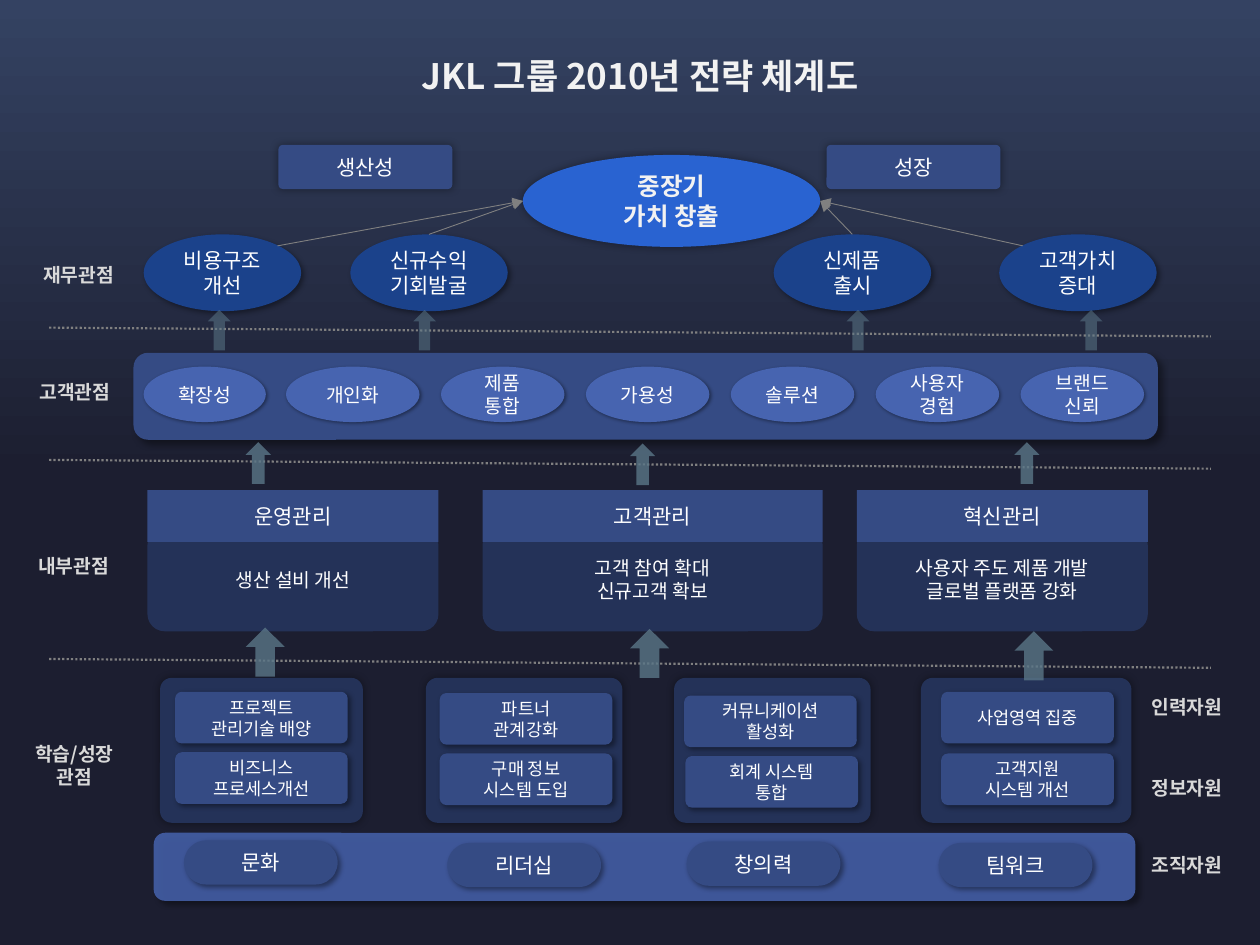
import lxml.etree
import pptx
import pptx.util
import pptx.dml.color
import pptx.enum.dml
import pptx.enum.shapes
import pptx.enum.text
import pptx.oxml.ns

THEME = dict(
    font="Noto Sans CJK KR", goal_font="Arial",
    sky="344262", night="1C1E30", goal="2963D1", finance="1B428B",
    panel="243258", box="354B84", pill="4764B0", arrow="5A7687",
    rule="808080", white="FFFFFF", bright="F2F2F2", label="D9D9D9", shadow="000000",
    title_size=20, goal_size=14, head_size=12, body_size=11, small_size=10,
)
# Shadows: blur, distance (points), angle (degrees)
GLOW, DROP, SMALL_DROP = (5, 0, 0), (3, 2, 45), (2, 1, 45)
PANEL_DROP, BASE_DROP = (4, 3, 45), (3, 3, 45)
SHAPE = pptx.enum.shapes.MSO_SHAPE

# Content; positions count cells of a grid of 100 columns by 75 rows
TITLE = "JKL 그룹 2010년 전략 체계도"
GOAL = ("중장기\n가치 창출", 41.5, 12.3, 23.6, 7.3)
THEMES = [("생산성", 22.1), ("성장", 65.6)]
FINANCE = [("비용구조개선", 11.4), ("신규수익기회발굴", 27.8),
           ("신제품\n출시", 61.4), ("고객가치\n증대", 79.3)]
CUSTOMER = [("확장성", 11.4, 9.7), ("개인화", 22.7, 10.6), ("제품\n통합", 35, 9.8),
            ("가용성", 46.5, 9.8), ("솔루션", 58, 9.8), ("사용자\n경험", 69.5, 9.8),
            ("브랜드신뢰", 81, 9.8)]
INTERNAL = [("운영관리", "생산 설비 개선", 11.7, 23.1),
            ("고객관리", "고객 참여 확대\n신규고객 확보", 38.3, 27),
            ("혁신관리", "사용자 주도 제품 개발\n글로벌 플랫폼 강화", 68, 23.1)]
# Panel left and width, then each box with its left and top
LEARNING = [
    (12.7, 16.1, [("프로젝트\n관리기술 배양", 13.9, 54.9), ("비즈니스\n프로세스개선", 13.9, 59.7)]),
    (33.8, 15.6, [("파트너\n관계강화", 34.9, 55), ("구매 정보\n시스템 도입", 34.9, 59.8)]),
    (53.5, 15.6, [("커뮤니케이션\n활성화", 54.3, 55.2), ("회계 시스템\n통합", 54.4, 60)]),
    (73.1, 16.7, [("사업영역 집중", 74.7, 54.9), ("고객지원\n시스템 개선", 74.7, 59.8)]),
]
CULTURE = [("문화", 14.6, 66.7), ("리더십", 35.5, 66.9),
           ("창의력", 54.5, 66.8), ("팀워크", 74.5, 66.9)]
LABELS = [("재무관점", 1.9, 20.4, 8.7, 2.9), ("고객관점", 1.6, 29.7, 8.7, 2.9),
          ("내부관점", 1.5, 43.5, 8.7, 2.9), ("학습/성장\n관점", 0.8, 58.4, 10.2, 4.7),
          ("인력자원", 89.5, 54.7, 9.4, 2.9), ("정보자원", 89.5, 61.1, 9.4, 2.9),
          ("조직자원", 89.5, 67.2, 9.4, 2.9)]
DIVIDERS = [26, 36.5, 52.3]
# Up arrows by row: width, height, opacity, (left, top) of each
ARROWS = [
    (1.8, 3.2, 55, [(16.5, 24.6), (32.8, 24.6), (67.2, 24.6), (85.7, 24.6)]),
    (2, 3.3, 80, [(19.5, 35.1), (50, 35.2), (80.5, 35.1)]),
    (3.1, 3.9, 80, [(19.5, 49.8), (50, 49.9), (80.5, 50.1)]),
]

deck = pptx.Presentation()
deck.slide_width, deck.slide_height = pptx.util.Inches(10), pptx.util.Inches(7.5)
slide = deck.slides.add_slide(deck.slide_layouts[6])
CELL = deck.slide_width / 100


def cells(*counts):
    return [round(count * CELL) for count in counts]


def color(name):
    return pptx.dml.color.RGBColor.from_string(THEME[name])


def add_xml(parent, tag, **attributes):
    return lxml.etree.SubElement(parent, pptx.oxml.ns.qn(tag), attributes)


def write(holder, text, size, ink="white", bold=False, font="font", middle=True):
    frame = holder.text_frame
    frame.word_wrap = True
    anchors = pptx.enum.text.MSO_ANCHOR
    frame.vertical_anchor = anchors.MIDDLE if middle else anchors.TOP
    frame.text = text
    for paragraph in frame.paragraphs:
        paragraph.alignment = pptx.enum.text.PP_ALIGN.CENTER
        for run in paragraph.runs:
            run.font.size = pptx.util.Pt(THEME[size])
            run.font.bold = bold
            run.font.color.rgb = color(ink)
            run.font.name = THEME[font]
            add_xml(run.font._element, "a:ea", typeface=THEME["font"])


def block(kind, place, fill, shadow=None, opacity=None, corner=None, home=slide):
    shape = home.shapes.add_shape(kind, *cells(*place))
    shape.fill.solid()
    shape.fill.fore_color.rgb = color(fill)
    shape.line.fill.background()
    shape.shadow.inherit = False
    properties = shape.element.spPr
    if opacity:
        tint = properties.find(".//" + pptx.oxml.ns.qn("a:srgbClr"))
        add_xml(tint, "a:alpha", val=str(opacity * 1000))
    if shadow:
        blur, distance, angle = shadow
        effects = properties.find(pptx.oxml.ns.qn("a:effectLst"))
        outer = add_xml(effects, "a:outerShdw", blurRad=str(blur * 12700),
                        dist=str(distance * 12700), dir=str(angle * 60000),
                        algn="ctr", rotWithShape="0")
        shade = add_xml(outer, "a:srgbClr", val=THEME["shadow"])
        add_xml(shade, "a:alpha", val="40000")
    if corner is not None:
        shape.adjustments[0] = corner
    return shape


def rule(start, end, width):
    line = slide.shapes.add_connector(pptx.enum.shapes.MSO_CONNECTOR.STRAIGHT,
                                      *cells(*start, *end))
    line.line.color.rgb = color("rule")
    line.line.width = pptx.util.Pt(width)
    add_xml(line.element.spPr, "a:effectLst")
    return line


def label(text, place, size, ink):
    write(slide.shapes.add_textbox(*cells(*place)), text, size, ink, bold=True, middle=False)


# Background
sky = slide.background.fill
sky.gradient()
sky.gradient_angle = 270
for stop, name, position in zip(sky.gradient_stops, ("sky", "night"), (0, 0.5)):
    stop.color.rgb = color(name)
    stop.position = position

# Title, perspective labels and resource labels
label(TITLE, (25.8, 3.8, 50, 4.4), "title_size", "bright")
for text, *place in LABELS:
    label(text, place, "body_size", "label")

# Goal, its two themes and the financial perspective
goal_text, *goal_place = GOAL
write(block(SHAPE.OVAL, goal_place, "goal", GLOW), goal_text, "goal_size",
      "bright", bold=True, font="goal_font")
for text, left in THEMES:
    theme_box = block(SHAPE.ROUNDED_RECTANGLE, (left, 11.5, 13.8, 3.5), "box", GLOW, corner=0.1)
    write(theme_box, text, "head_size")

FINANCE_TOP, FINANCE_W, FINANCE_H = 18.6, 12.5, 6.1
goal_left, goal_top, goal_w, goal_h = goal_place
# Share of the ellipse's width and height where each arrow leaves it
exits = [(0.85, 0.15), (0.5, 0), (0.5, 0), (0.15, 0.15)]
for (text, left), (share_x, share_y) in zip(FINANCE, exits):
    write(block(SHAPE.OVAL, (left, FINANCE_TOP, FINANCE_W, FINANCE_H), "finance", DROP),
          text, "head_size")
    goal_side = goal_left if left < goal_left else goal_left + goal_w
    pointer = rule((left + share_x * FINANCE_W, FINANCE_TOP + share_y * FINANCE_H),
                   (goal_side, goal_top + goal_h / 2), 0.5)
    add_xml(pointer.line._get_or_add_ln(), "a:tailEnd", type="triangle")

# Customer perspective
block(SHAPE.FLOWCHART_ALTERNATE_PROCESS, (10.6, 28, 81.3, 6.9), "box", PANEL_DROP)
for text, left, width in CUSTOMER:
    write(block(SHAPE.OVAL, (left, 29.1, width, 4.4), "pill", SMALL_DROP), text, "body_size")

# Dividers between perspectives
for top in DIVIDERS:
    divider = rule((3.9, top), (96.1, top + 0.7), 1.25)
    divider.line.dash_style = pptx.enum.dml.MSO_LINE.ROUND_DOT

# Internal perspective
for heading, detail, left, width in INTERNAL:
    group = slide.shapes.add_group_shape()
    write(block(SHAPE.ROUNDED_RECTANGLE, (left, 41.9, width, 8.2), "panel", home=group),
          detail, "body_size")
    write(block(SHAPE.RECTANGLE, (left, 38.9, width, 4.1), "box", home=group),
          heading, "head_size")

# Learning and growth perspective
for left, width, projects in LEARNING:
    group = slide.shapes.add_group_shape()
    block(SHAPE.ROUNDED_RECTANGLE, (left, 53.8, width, 11.5), "panel", GLOW,
          corner=0.08, home=group)
    for text, box_left, box_top in projects:
        project = block(SHAPE.ROUNDED_RECTANGLE, (box_left, box_top, 13.7, 4.1), "box", DROP,
                        corner=0.13, home=group)
        write(project, text, "small_size")

# Organisational base
base = slide.shapes.add_group_shape()
block(SHAPE.FLOWCHART_ALTERNATE_PROCESS, (12.2, 66.1, 77.9, 5.4), "pill", BASE_DROP,
      opacity=84, home=base)
for text, left, top in CULTURE:
    write(block(SHAPE.ROUNDED_RECTANGLE, (left, top, 12.2, 3.5), "box", DROP,
                corner=0.5, home=base), text, "head_size")

# Arrows rising from one perspective to the next
for width, height, opacity, corners in ARROWS:
    for left, top in corners:
        block(SHAPE.UP_ARROW, (left, top, width, height), "arrow", opacity=opacity)

deck.save("out.pptx")
